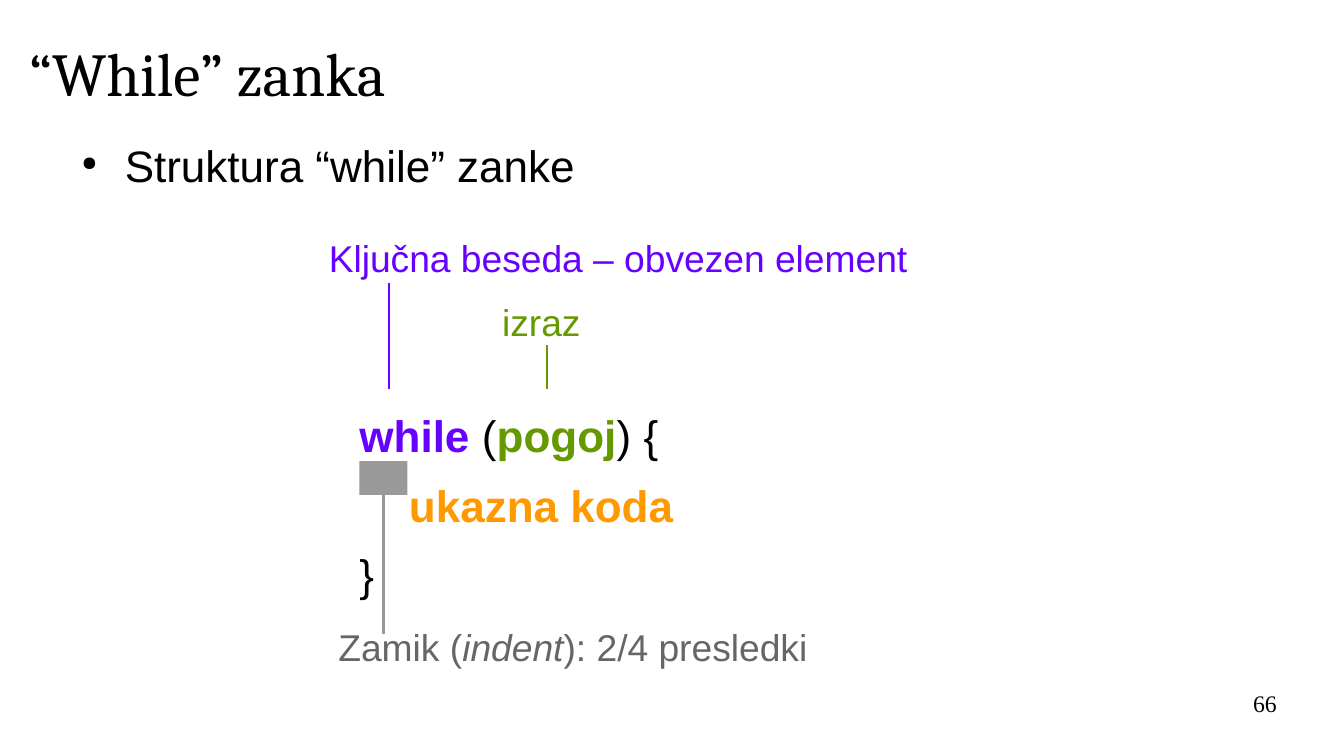
from lxml import etree
from pptx import Presentation
from pptx.dml.color import RGBColor
from pptx.enum.shapes import MSO_CONNECTOR, MSO_SHAPE
from pptx.enum.text import MSO_ANCHOR, PP_ALIGN
from pptx.oxml.ns import qn
from pptx.util import Cm, Pt

STRAIGHT = MSO_CONNECTOR.STRAIGHT
RECTANGLE = MSO_SHAPE.RECTANGLE
MIDDLE, TOP = MSO_ANCHOR.MIDDLE, MSO_ANCHOR.TOP
LEFT, RIGHT = PP_ALIGN.LEFT, PP_ALIGN.RIGHT

BLACK = RGBColor(0x00, 0x00, 0x00)
PURPLE = RGBColor(0x66, 0x00, 0xFF)
GREEN = RGBColor(0x66, 0x99, 0x00)
ORANGE = RGBColor(0xFF, 0x99, 0x00)
GREY = RGBColor(0x99, 0x99, 0x99)
DARK_GREY = RGBColor(0x66, 0x66, 0x66)


def add_text(s, box, lines, size, font="Arial", align=LEFT, anchor=TOP, gap=0):
    tf = s.shapes.add_textbox(*map(Cm, box)).text_frame
    tf.word_wrap = True
    tf.vertical_anchor = anchor
    tf.margin_left = tf.margin_right = tf.margin_top = tf.margin_bottom = 0
    for i, runs in enumerate(lines):
        p = tf.add_paragraph() if i else tf.paragraphs[0]
        p.alignment = align
        if i:
            p.space_before = Pt(gap)
        for text, color, bold, italic in runs:
            r = p.add_run()
            r.text = text
            r.font.name, r.font.size = font, Pt(size)
            r.font.bold, r.font.italic = bold, italic
            r.font.color.rgb = color
    return tf


def run(text, color=BLACK, bold=False, italic=False):
    return text, color, bold, italic


def set_indent(p, margin, hanging=0):
    pPr = p._p.get_or_add_pPr()
    pPr.set("marL", str(Cm(margin)))
    pPr.set("indent", str(-Cm(hanging)))
    return pPr


def add_pointer(s, x, top, bottom, color):
    line = s.shapes.add_connector(STRAIGHT, Cm(x), Cm(top), Cm(x), Cm(bottom))
    line.line.color.rgb = color
    line.line.width = Pt(1.5)
    etree.SubElement(line._element.spPr, qn("a:effectLst"))


def add_title(s, box):
    add_text(s, box, [[run("“While” zanka")]], 36, "Cambria", anchor=MIDDLE)


def add_topic(s, box):
    tf = add_text(s, box, [[run("Struktura “while” zanke")]], 26)
    pPr = set_indent(tf.paragraphs[0], 1.2, 0.9)
    etree.SubElement(pPr, qn("a:buSzPct")).set("val", "45000")
    etree.SubElement(pPr, qn("a:buChar")).set("char", "●")


def add_diagram(s, box):
    x, y, w, h = box
    code_x, code_y = x + 0.89, y + 3.73
    pointer_end = y + 3.33

    add_pointer(s, x + 1.5, y + 1.12, pointer_end, PURPLE)
    add_pointer(s, x + 4.8, y + 2.41, pointer_end, GREEN)
    code = [
        [run("while ", PURPLE, True), run("("), run("pogoj", GREEN, True), run(") {")],
        [run("ukazna koda", ORANGE, True)],
        [run("}")],
    ]
    tf = add_text(s, (code_x, code_y, w - 0.89, 4), code, 26, gap=9.9)
    set_indent(tf.paragraphs[1], 1.03)

    indent = s.shapes.add_shape(RECTANGLE, Cm(code_x), Cm(y + 4.83), Cm(1), Cm(0.7))
    indent.shadow.inherit = False
    indent.fill.solid()
    indent.fill.fore_color.rgb = GREY
    indent.line.fill.background()
    add_pointer(s, code_x + 0.5, y + 5.5, y + 8.43, GREY)

    notes = [
        (0.25, 0.13, [run("Ključna beseda – obvezen element", PURPLE)]),
        (3.86, 1.45, [run("izraz", GREEN)]),
        (0.45, 8.23, [run("Zamik (", DARK_GREY), run("indent", DARK_GREY, italic=True),
                      run("): 2/4 presledki", DARK_GREY)]),
    ]
    for dx, dy, runs in notes:
        add_text(s, (x + dx, y + dy, w - dx, 0.9), [runs], 22)


def add_page_number(s, box):
    add_text(s, box, [[run("66")]], 14, "Times New Roman", RIGHT)


def main():
    prs = Presentation()
    prs.slide_width, prs.slide_height = Cm(28), Cm(15.75)
    s = prs.slides.add_slide(prs.slide_layouts[6])
    add_title(s, (0.61, 0.38, 25.2, 2.24))
    add_topic(s, (1.4, 2.89, 26.4, 1.1))
    add_diagram(s, (6.6, 4.78, 14, 9.3))
    add_page_number(s, (20.07, 14.35, 6.53, 1.1))
    prs.save("out.pptx")


if __name__ == "__main__":
    main()
